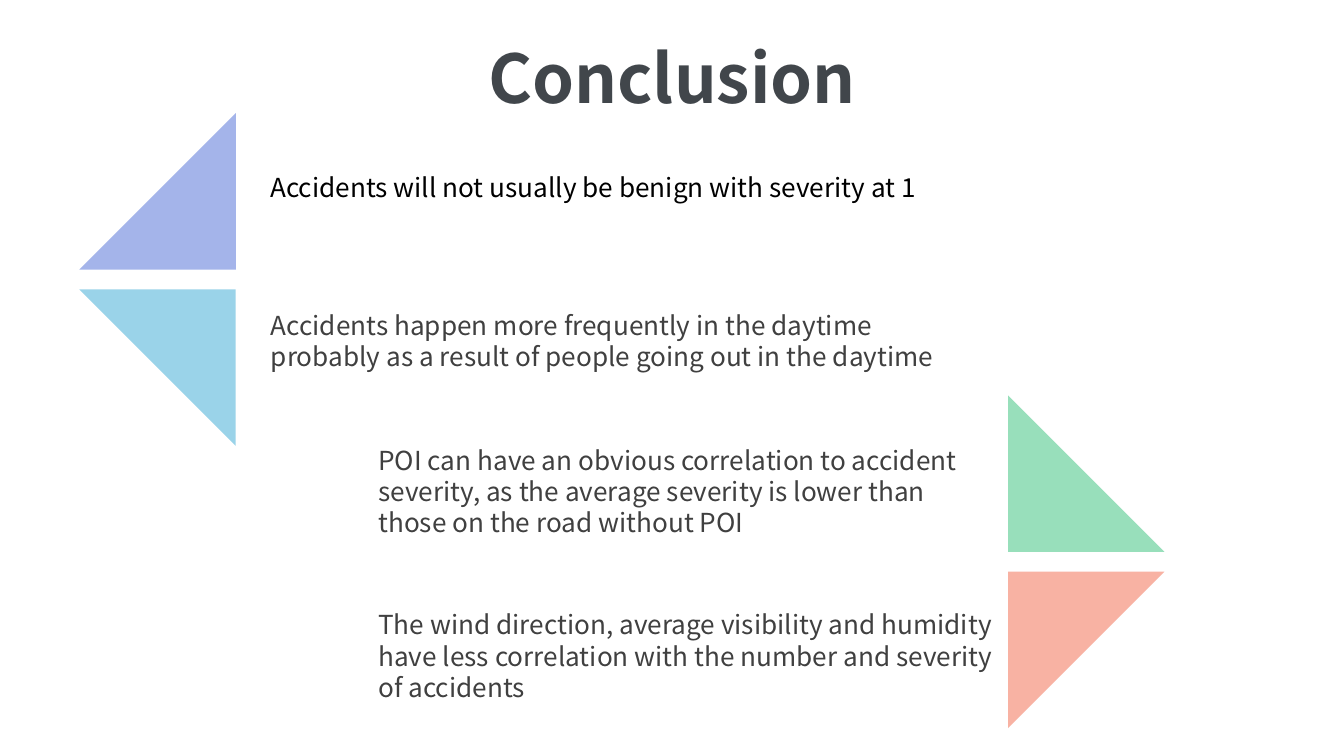
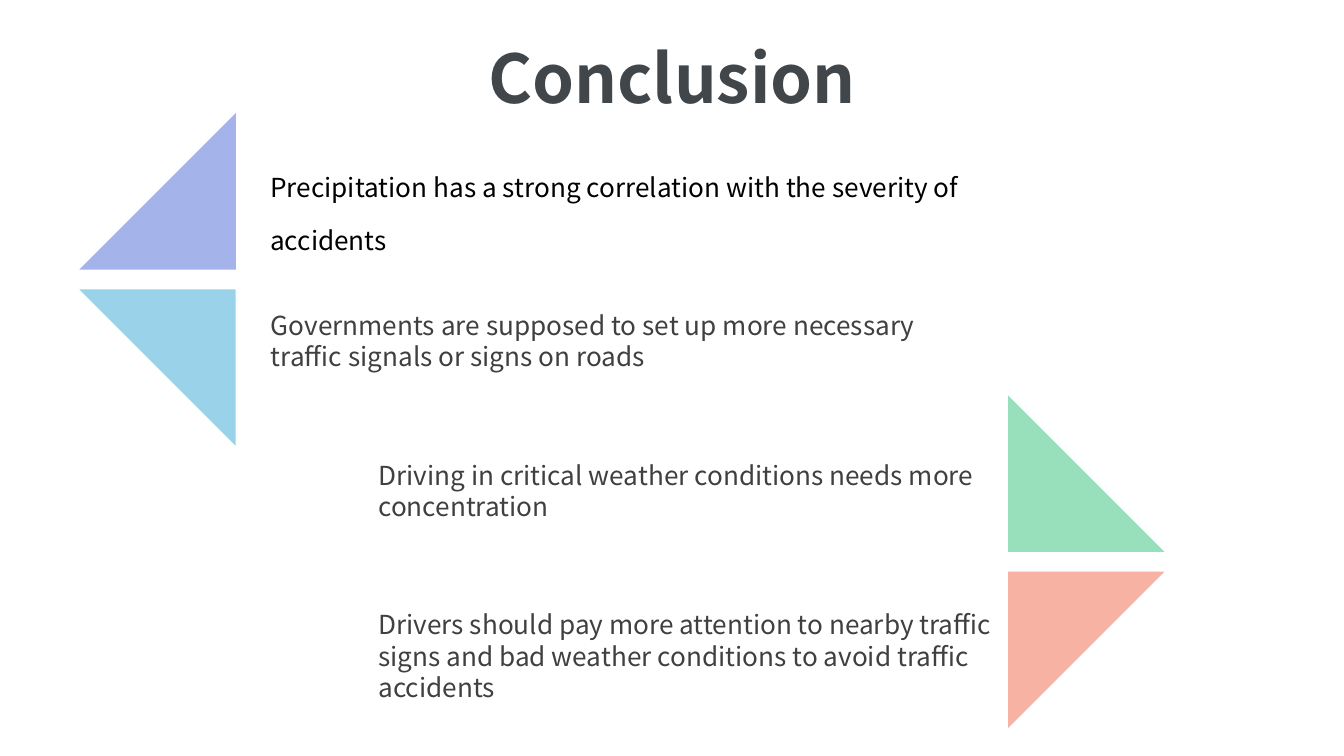
"""Build two conclusion slides with paired corner triangles and four statements each."""
import pptx
import pptx.dml.color
import pptx.enum.shapes
import pptx.enum.text
import pptx.util

FONT = "Noto Sans CJK SC"
COLORS = {
    "title": "41464B", "lead": "000000", "body": "404040",
    "green": "98DFBB", "coral": "F8B2A3", "blue": "9AD3E9", "violet": "A4B4EA",
}

prs = pptx.Presentation()
prs.slide_width = pptx.util.Inches(10)
prs.slide_height = prs.slide_width * 9 // 16
CELL = prs.slide_width / 100
SIDE, STEP = 11.64, 13.12
LEAD_COL, LEFT_COL, RIGHT_COL = 19.2, 19.25, 27.25

PAIRS = [
    (75, 29.42, [("green", 0, 0), ("coral", 1, 90)]),
    (5.9, 8.42, [("blue", 1, 180), ("violet", 0, 270)]),
]
SLIDES = [
    [
        ("Accidents will not usually be benign with severity at 1",
         LEAD_COL, 10.6, 54.5, 4.5, "lead", 1.7),
        ("The wind direction, average visibility and humidity have less correlation "
         "with the number and severity of accidents",
         RIGHT_COL, 44.8, 47.7, 8.1, "body", None),
        ("POI can have an obvious correlation to accident severity, as the average "
         "severity is lower than those on the road without POI",
         RIGHT_COL, 32.54, 47.7, 8.1, "body", None),
        ("Accidents happen more frequently in the daytime probably as a result of "
         "people going out in the daytime",
         LEFT_COL, 22.54, 54.4, 5.7, "body", None),
    ],
    [
        ("Precipitation has a strong correlation with the severity of accidents",
         LEAD_COL, 10.6, 55.8, 8.5, "lead", 1.7),
        ("Drivers should pay more attention to nearby traffic signs and bad weather "
         "conditions to avoid traffic accidents",
         RIGHT_COL, 44.8, 47.7, 8.1, "body", None),
        ("Driving in critical weather conditions needs more concentration",
         RIGHT_COL, 33.66, 48.8, 5.7, "body", None),
        ("Governments are supposed to set up more necessary traffic signals or "
         "signs on roads",
         LEFT_COL, 22.54, 54.4, 5.7, "body", None),
    ],
]


def grid(*cells):
    return [round(n * CELL) for n in cells]


def add_text(slide, text, box, color, spacing, size=14):
    sp = slide.shapes.add_textbox(*grid(*box))
    tf = sp.text_frame
    tf.word_wrap = True
    tf.margin_left = tf.margin_right = pptx.util.Inches(0.09)
    tf.margin_top = tf.margin_bottom = pptx.util.Inches(0.05)
    p = tf.paragraphs[0]
    if spacing:
        p.line_spacing = spacing
    r = p.add_run()
    r.text = text
    r.font.name = FONT
    r.font.size = pptx.util.Pt(size)
    r.font.color.rgb = pptx.dml.color.RGBColor.from_string(COLORS[color])
    return tf, p, r


for statements in SLIDES:
    slide = prs.slides.add_slide(prs.slide_layouts[6])

    for left, top, triangles in PAIRS:
        group = slide.shapes.add_group_shape()
        for color, row, angle in triangles:
            sp = group.shapes.add_shape(
                pptx.enum.shapes.MSO_SHAPE.RIGHT_TRIANGLE,
                *grid(left, top + row * STEP, SIDE, SIDE))
            sp.rotation = angle
            sp.shadow.inherit = False
            sp.fill.solid()
            sp.fill.fore_color.rgb = pptx.dml.color.RGBColor.from_string(COLORS[color])
            sp.line.fill.background()

    for text, left, top, width, height, color, spacing in statements:
        tf, p, r = add_text(slide, text, (left, top, width, height), color, spacing)
        tf.auto_size = pptx.enum.text.MSO_AUTO_SIZE.SHAPE_TO_FIT_TEXT

    tf, p, r = add_text(slide, "Conclusion", (0, 1.35, 100, 6.3), "title", 1.4, 36)
    tf.vertical_anchor = pptx.enum.text.MSO_ANCHOR.MIDDLE
    p.alignment = pptx.enum.text.PP_ALIGN.CENTER
    p.space_before = pptx.util.Pt(7.2)
    r.font.bold = True

prs.save("out.pptx")
